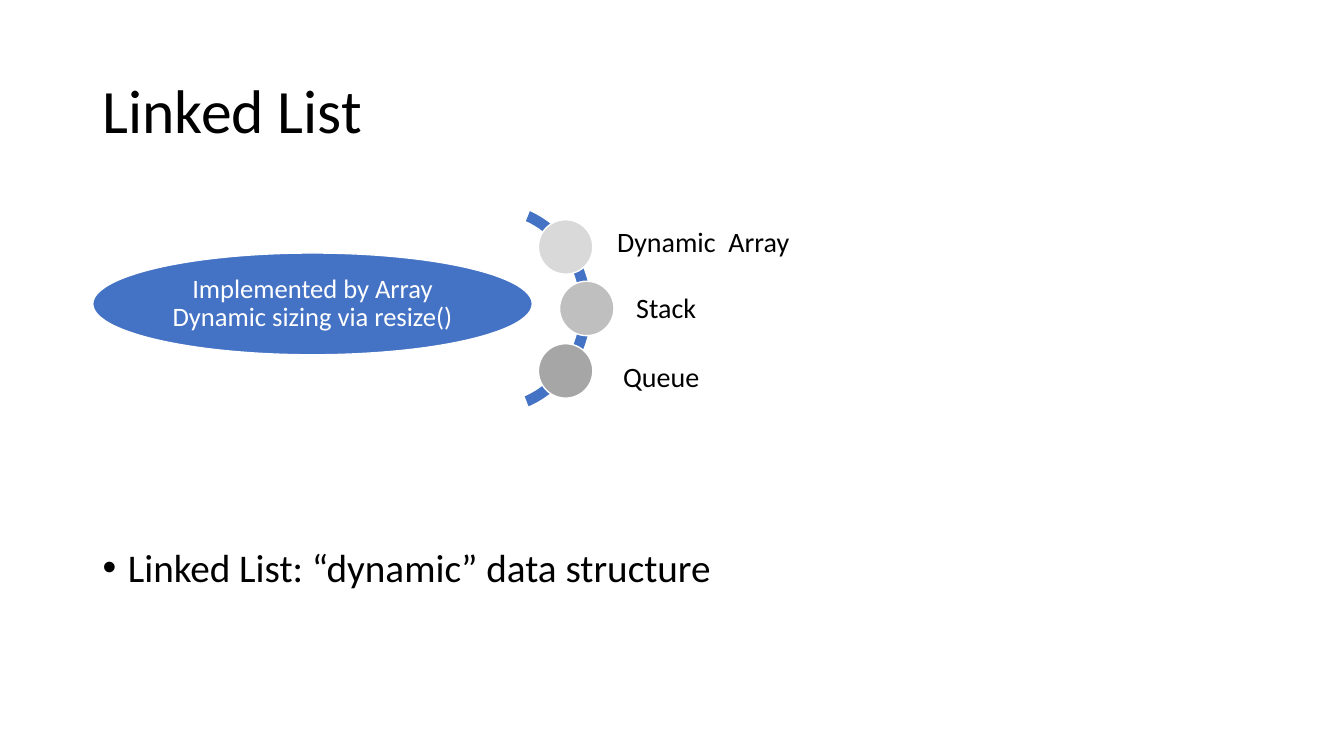
from pptx import Presentation
from pptx.dml.color import RGBColor
from pptx.enum.shapes import MSO_SHAPE as Shape
from pptx.enum.text import MSO_ANCHOR as Anchor, PP_ALIGN as Align
from pptx.oxml import parse_xml
from pptx.oxml.ns import nsdecls
from pptx.util import Inches, Pt

TITLE = "Linked List"
BULLET = "Linked List: “dynamic” data structure"
HUB = "Implemented by Array\vDynamic sizing via resize()"
# label, circle colour, circle left and top, label left, top and width
STRUCTURES = [
    ("Dynamic  Array", "D9D9D9", (5.34, 2.18), (6.09, 2.15, 2.27)),
    ("Stack", "BFBFBF", (5.55, 2.79), (6.28, 2.81, 1.45)),
    ("Queue", "A6A6A6", (5.34, 3.41), (6.15, 3.49, 1.28)),
]
BLUE, WHITE, BLACK = "4472C4", "FFFFFF", "000000"
CIRCLE, LABEL_HEIGHT = 0.54, 0.52
ARC_ADJUSTMENTS = (175.28, 41.19, 0.06)


def color(hex_string):
    return RGBColor.from_string(hex_string)


def add_figure(slide, kind, box, fill):
    shape = slide.shapes.add_shape(kind, *map(Inches, box))
    shape.shadow.inherit = False
    shape.fill.solid()
    shape.fill.fore_color.rgb = color(fill)
    shape.line.color.rgb = color(WHITE)
    shape.line.width = Pt(1)
    return shape


def write(shape, text, size, font_color=BLACK, anchor=Anchor.MIDDLE,
          align=Align.LEFT, inset=None):
    """Fill a shape with one paragraph of text and return the paragraph."""
    frame = shape.text_frame
    frame.word_wrap = True
    frame.vertical_anchor = anchor
    if inset is not None:
        frame.margin_left = frame.margin_right = Inches(inset)
        frame.margin_top = frame.margin_bottom = Inches(inset)
    paragraph = frame.paragraphs[0]
    paragraph.text = text
    paragraph.alignment = align
    paragraph.line_spacing = 0.9
    for run in paragraph.runs:
        run.font.name = "Calibri"
        run.font.size = Pt(size)
        run.font.color.rgb = color(font_color)
    return paragraph


def add_text(slide, box, text, size, **options):
    return write(slide.shapes.add_textbox(*map(Inches, box)), text, size, **options)


def add_bullet(paragraph, indent):
    properties = paragraph._p.get_or_add_pPr()
    properties.set("marL", str(Inches(indent)))
    properties.set("indent", str(-Inches(indent)))
    for xml in ('<a:buFont {} typeface="Arial"/>', '<a:buChar {} char="•"/>'):
        properties.append(parse_xml(xml.format(nsdecls("a"))))


def main():
    presentation = Presentation()
    presentation.slide_width = Inches(13.33)
    presentation.slide_height = Inches(7.5)
    slide = presentation.slides.add_slide(presentation.slide_layouts[6])

    add_text(slide, (0.92, 0.4, 11.5, 1.45), TITLE, 44)
    bullet = add_text(slide, (0.92, 5.39, 11.5, 1.37), BULLET, 28, anchor=Anchor.TOP)
    add_bullet(bullet, 0.25)

    hub = add_figure(slide, Shape.OVAL, (0.92, 2.51, 4.36, 1.01), BLUE)
    write(hub, HUB, 19, font_color=WHITE, align=Align.CENTER, inset=0.03)

    arc = add_figure(slide, Shape.BLOCK_ARC, (3.84, 2, 2.03, 2.12), BLUE)
    for index, value in enumerate(ARC_ADJUSTMENTS):
        arc.adjustments[index] = value

    for label, fill, corner, (left, top, width) in STRUCTURES:
        add_figure(slide, Shape.OVAL, (*corner, CIRCLE, CIRCLE), fill)
        add_text(slide, (left, top, width, LABEL_HEIGHT), label, 20, inset=0.03)

    presentation.save("out.pptx")


if __name__ == "__main__":
    main()
